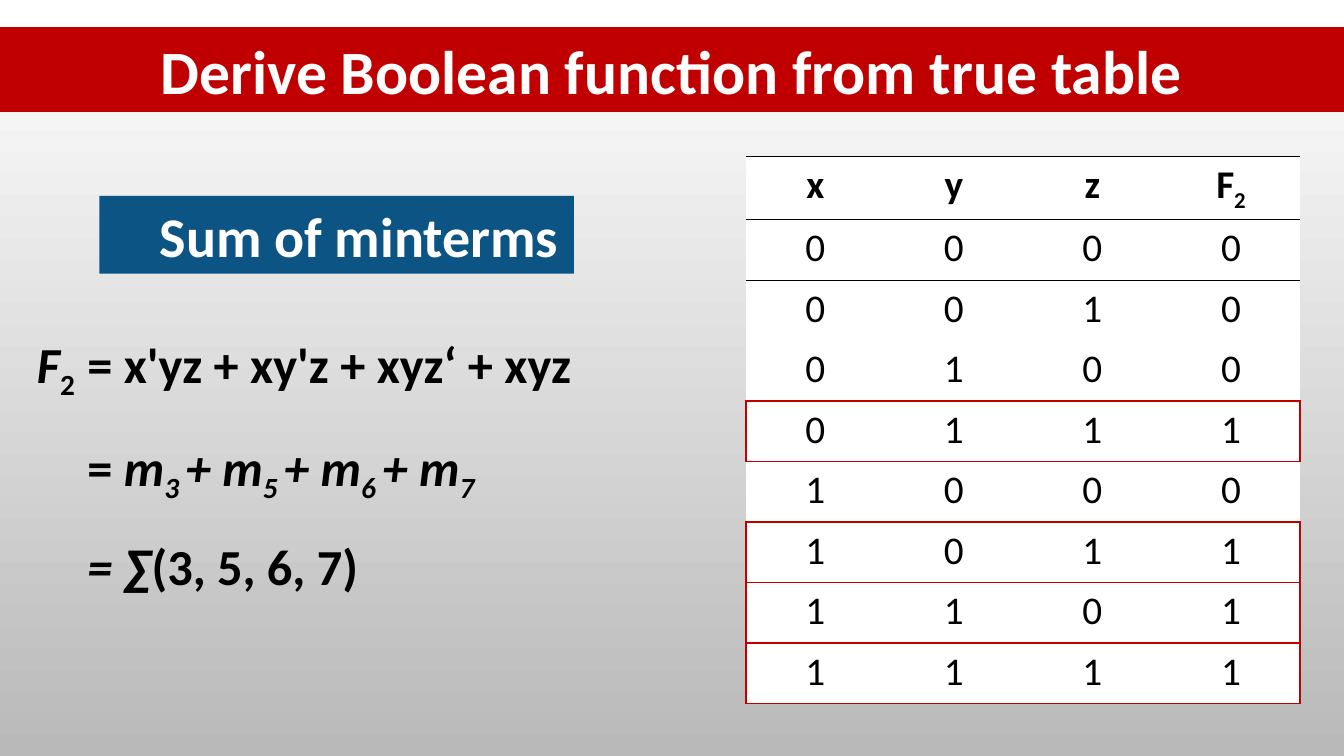
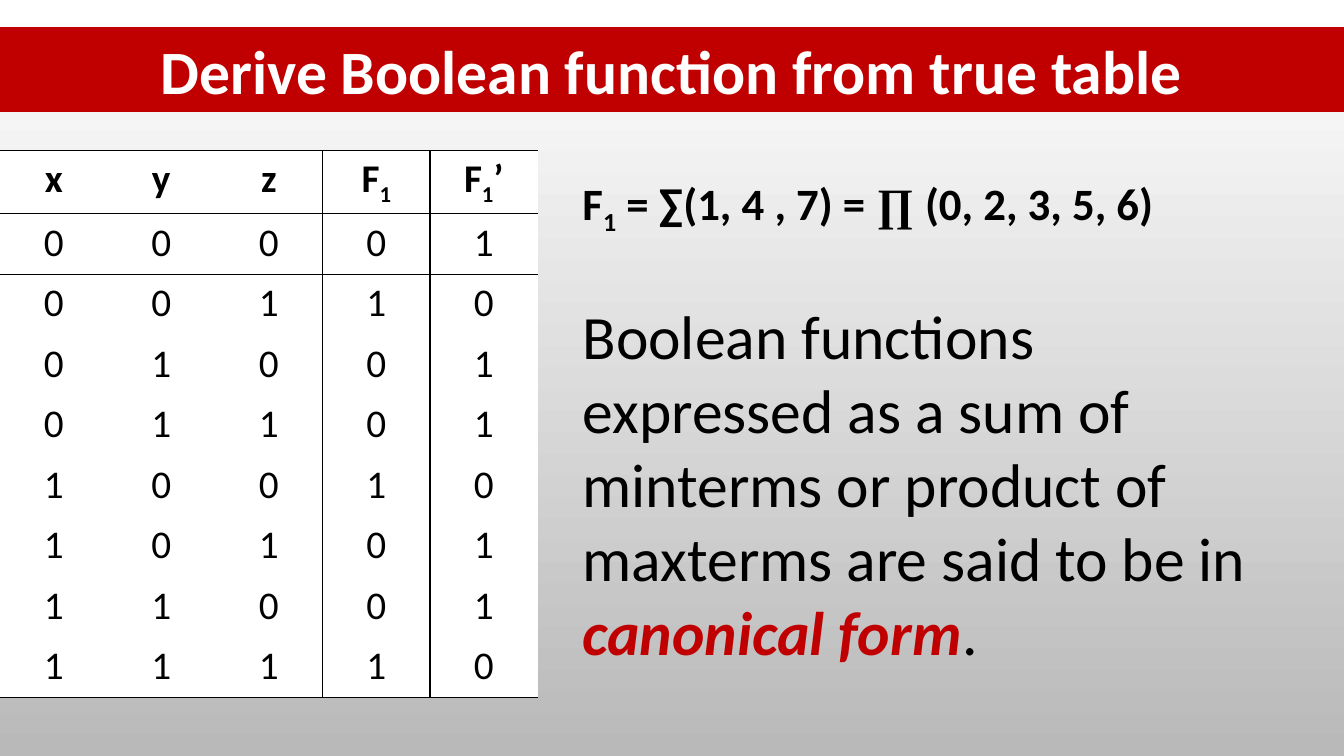
from dataclasses import dataclass
from itertools import product

from lxml import etree
from pptx import Presentation
from pptx import util as u
from pptx.dml.color import RGBColor
from pptx.enum import shapes, text
from pptx.oxml import ns


@dataclass(frozen=True)
class Theme:
    ink: str = "000000"
    paper: str = "FFFFFF"
    shade: str = "B9B9B9"
    accent: str = "C00000"
    badge: str = "0B5484"
    face: str = "Calibri"
    symbol_face: str = "Times New Roman"
    large: int = 44
    label: int = 40
    formula: int = 36
    note: int = 32
    cell: int = 28
    thin: float = 1
    thick: float = 1.5


THEME = Theme()
WIDTH, HEIGHT = u.Inches(13.333), u.Inches(7.5)
TAB = u.Inches(0.5)
NO_GRID_STYLE = "{2D5ABB26-0587-4C30-8999-92F81FD0307C}"
HEADING = "Derive Boolean function from true table"
SUB = {"base": -25}
ITALIC = {"italic": True}
ITALIC_SUB = {**ITALIC, **SUB}


def apply(target, values):
    for name, value in values.items():
        setattr(target, name, value)


def area(left, top, width, height):
    return tuple(int(share * side / 100) for share, side in
                 ((left, WIDTH), (top, HEIGHT), (width, WIDTH), (height, HEIGHT)))


def place(shape, bounds):
    apply(shape, dict(zip(("left", "top", "width", "height"), bounds)))


def paint(fill, color):
    fill.solid()
    fill.fore_color.rgb = RGBColor.from_string(color)


def add_xml(parent, tag, **attributes):
    return etree.SubElement(parent, ns.qn(tag), attributes)


def write_runs(paragraph, runs, base_format):
    for words, changes in runs:
        values = {"name": THEME.face, "color": THEME.ink, **base_format, **changes}
        color, shift = values.pop("color"), values.pop("base", 0)
        values["size"] = u.Pt(values["size"])
        run = paragraph.add_run()
        run.text = words
        apply(run.font, values)
        run.font.color.rgb = RGBColor.from_string(color)
        if shift:
            run.font._element.set("baseline", str(shift * 1000))


def write_lines(frame, lines, base_format, indent=0, **layout):
    for number, runs in enumerate(lines):
        paragraph = frame.add_paragraph() if number else frame.paragraphs[0]
        properties = paragraph._p.get_or_add_pPr()
        properties.set("marL", str(indent))
        properties.set("indent", "0")
        add_xml(properties, "a:buNone")
        stops = add_xml(properties, "a:tabLst")
        add_xml(stops, "a:tab", pos=str(TAB), algn="l")
        apply(paragraph, {"space_before": u.Pt(0), **layout})
        write_runs(paragraph, runs, base_format)


def set_background(master):
    fill = master.background.fill
    fill.gradient()
    fill.gradient_angle = 270
    for stop, color in zip(fill.gradient_stops, (THEME.paper, THEME.shade)):
        stop.color.rgb = RGBColor.from_string(color)


def add_topic_slide(deck):
    slide = deck.slides.add_slide(deck.slide_layouts[1])
    heading = slide.shapes.title
    place(heading, area(0, 3.6, 100, 11.2))
    paint(heading.fill, THEME.accent)
    apply(heading.text_frame, {"auto_size": text.MSO_AUTO_SIZE.NONE,
                               "vertical_anchor": text.MSO_ANCHOR.MIDDLE})
    write_lines(heading.text_frame, [[(HEADING, {})]],
                {"size": THEME.large, "bold": True, "color": THEME.paper},
                alignment=text.PP_ALIGN.CENTER)
    return slide


def fill_body(slide, bounds, lines, base_format, **layout):
    body = slide.placeholders[1]
    place(body, bounds)
    apply(body.text_frame, {"auto_size": text.MSO_AUTO_SIZE.NONE, "word_wrap": True})
    write_lines(body.text_frame, lines, base_format, **layout)


def add_badge(slide, bounds, words):
    badge = slide.shapes.add_shape(shapes.MSO_SHAPE.RECTANGLE, *bounds)
    badge.shadow.inherit = False
    paint(badge.fill, THEME.badge)
    badge.line.fill.background()
    badge.text_frame.word_wrap = False
    write_lines(badge.text_frame, [[(words, {})]],
                {"size": THEME.label, "bold": True, "color": THEME.paper},
                indent=TAB, alignment=text.PP_ALIGN.LEFT)


def add_equation(slide, bounds, runs):
    equation = slide.shapes.add_textbox(*bounds).text_frame
    equation.word_wrap = True
    write_lines(equation, [runs], {"size": THEME.note, "bold": True}, line_spacing=1.5)


def set_borders(cell, edges):
    properties = cell._tc.get_or_add_tcPr()
    drawn = [(side, edge) for side, edge in edges.items() if edge]
    for position, (side, (color, weight)) in enumerate(drawn):
        line = etree.Element(ns.qn(f"a:ln{side}"), w=str(u.Pt(weight)))
        add_xml(add_xml(line, "a:solidFill"), "a:srgbClr", val=color)
        properties.insert(position, line)


def add_truth_table(slide, bounds, outputs, across, down):
    header = [[(name, {})] for name in "xyz"] + [runs for runs, _ in outputs]
    rows = [header]
    for index, bits in enumerate(product((0, 1), repeat=3)):
        results = [int(index in ones) for _, ones in outputs]
        rows.append([[(str(bit), {})] for bit in (*bits, *results)])
    table = slide.shapes.add_table(len(rows), len(header), *bounds).table
    apply(table, {"first_row": False, "horz_banding": False})
    table._tbl.tblPr.find(ns.qn("a:tableStyleId")).text = NO_GRID_STYLE
    for r, row in enumerate(rows):
        for c, runs in enumerate(row):
            cell = table.cell(r, c)
            paint(cell.fill, THEME.paper)
            set_borders(cell, {"L": down.get((r, c)), "R": down.get((r, c + 1)),
                               "T": across.get(r), "B": across.get(r + 1)})
            paragraph = cell.text_frame.paragraphs[0]
            paragraph.alignment = text.PP_ALIGN.CENTER
            write_runs(paragraph, runs, {"size": THEME.cell, "bold": r == 0})


def build_minterms(deck):
    slide = add_topic_slide(deck)
    minterms = (3, 5, 6, 7)
    rule, mark = (THEME.ink, THEME.thin), (THEME.accent, THEME.thick)
    across = {0: rule, 1: rule}
    across.update({m + step: mark for m in minterms for step in (1, 2)})
    down = {(m + 1, edge): mark for m in minterms for edge in (0, 4)}
    add_truth_table(slide, area(55.5, 20.67, 41.25, 72),
                    [([("F", {}), ("2", SUB)], minterms)], across, down)
    sum_runs = [("\t= ", {}), ("m", ITALIC), ("3 ", ITALIC_SUB)]
    for digit in ("5 ", "6 ", "7"):
        sum_runs += [("+ m", ITALIC), (digit, ITALIC_SUB)]
    fill_body(slide, area(2, 38.8, 50.1, 37.7), [
        [("F", ITALIC), ("2", SUB), ("\t= x'yz + xy'z + xyz‘ + xyz", {})],
        sum_runs,
        [("\t= ∑", ITALIC), ("(3, 5, 6, 7)", {})],
    ], {"size": THEME.formula, "bold": True}, line_spacing=1.5)
    add_badge(slide, area(7.4, 25.9, 35.3, 10.3), "Sum of minterms")


def build_canonical_form(deck):
    slide = add_topic_slide(deck)
    rule = (THEME.ink, THEME.thin)
    across = dict.fromkeys((0, 1, 9), rule)
    down = dict.fromkeys(product(range(9), (3, 4)), rule)
    function = [("F", {}), ("1", SUB)]
    add_truth_table(slide, area(0, 19.9, 40, 72),
                    [(function, (1, 4, 7)), (function + [("’", {})], (0, 2, 3, 5, 6))],
                    across, down)
    add_equation(slide, area(42.6, 18.5, 48.4, 12.1), function + [
        (" = ∑(1, 4 , 7) =", {}), (" ∏ ", {"name": THEME.symbol_face}),
        ("(0, 2, 3, 5, 6)", {})])
    fill_body(slide, area(42.6, 38.8, 51.7, 50.7), [
        [("Boolean functions", {})],
        [("expressed as a sum of minterms or product of maxterms are said to be in ", {}),
         ("canonical form", {"color": THEME.accent, "bold": True, "italic": True}),
         (".", {})],
    ], {"size": THEME.large})


def main():
    deck = Presentation()
    apply(deck, {"slide_width": WIDTH, "slide_height": HEIGHT})
    set_background(deck.slide_master)
    build_minterms(deck)
    build_canonical_form(deck)
    deck.save("out.pptx")


if __name__ == "__main__":
    main()
